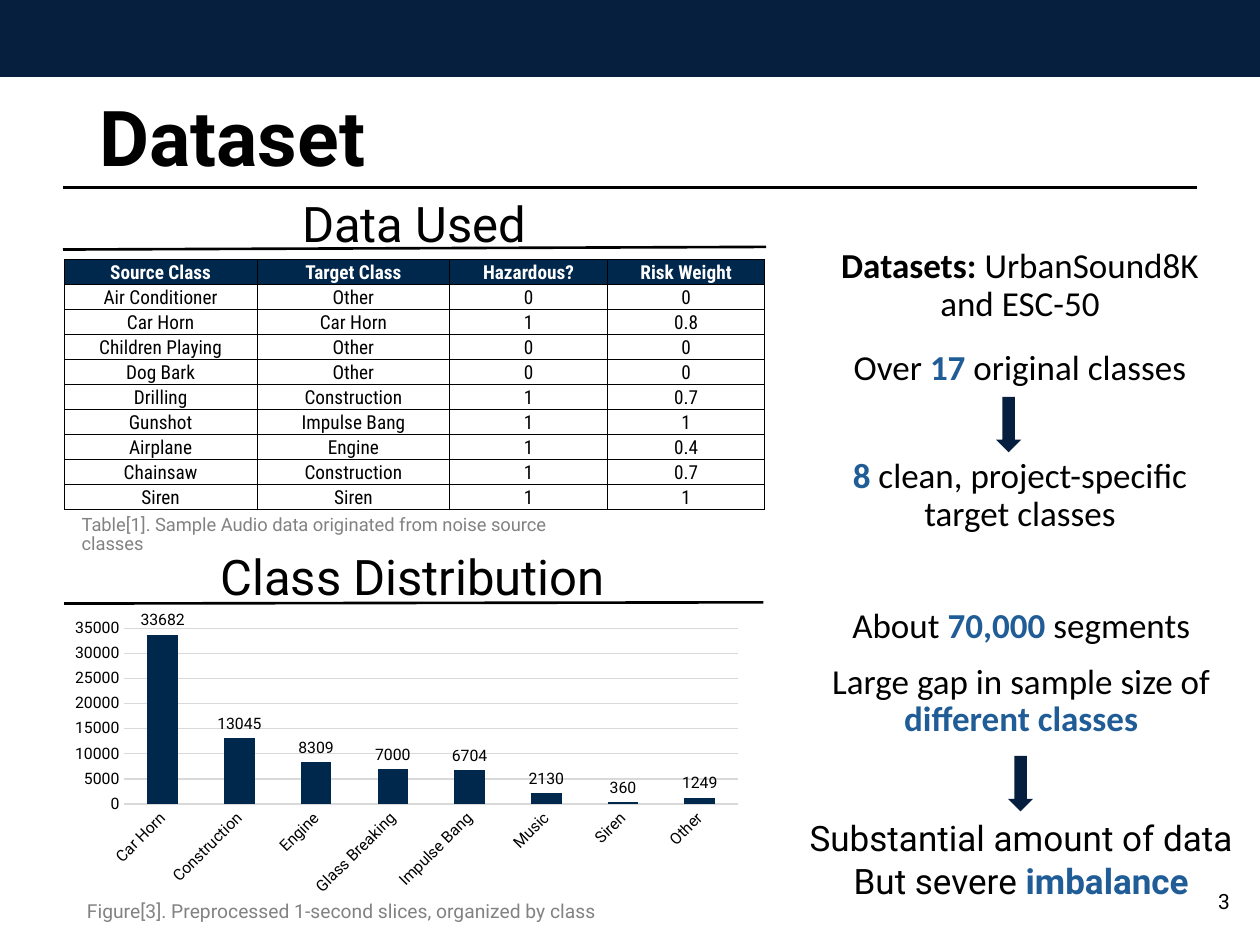
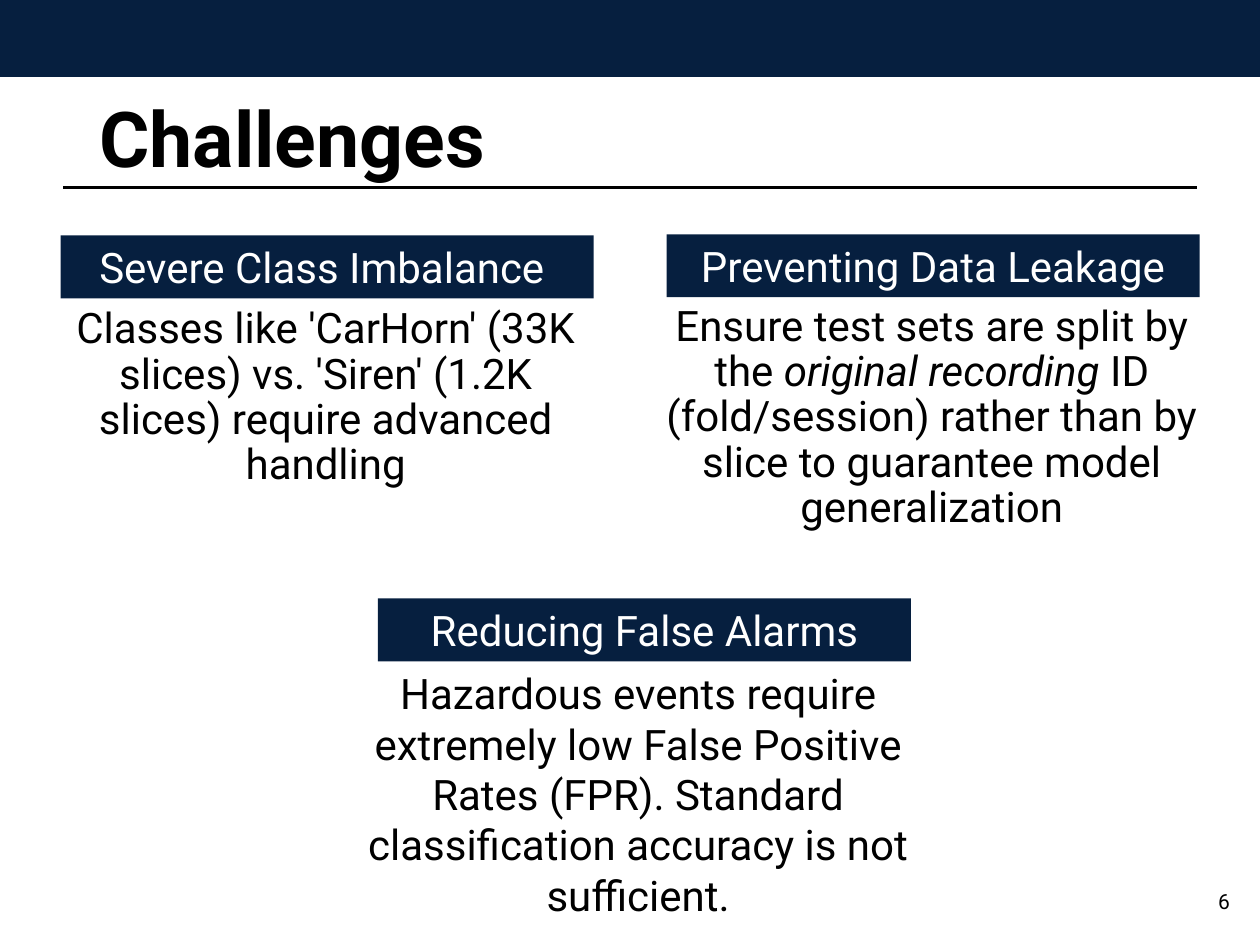
from lxml import etree
from pptx import Presentation
from pptx.chart.data import CategoryChartData
from pptx.dml.color import RGBColor
from pptx.enum.chart import XL_CHART_TYPE as ChartType, XL_LABEL_POSITION as LabelPosition
from pptx.enum.chart import XL_TICK_MARK as TickMark
from pptx.enum.shapes import MSO_CONNECTOR as Connector, MSO_SHAPE as Preset
from pptx.enum.text import MSO_ANCHOR as Anchor, PP_ALIGN as Align
from pptx.oxml.ns import qn
from pptx.util import Pt

# Shared look
NAVY, DEEP_BLUE, ACCENT = "061F3F", "00274C", "205C96"
BLACK, WHITE, GRAY, GRID = "000000", "FFFFFF", "828282", "D9D9D9"
FONT, NARROW, SIDE_FONT = "Roboto", "Roboto Condensed", "Calibri"
SLIDE_SIZE = (720, 540)
BAND = (0, 0, 720, 43.2)
TITLE_RULE = (36, 107.3, 684, 107.3)
PAGE_NUMBER = (547.9, 500.4, 162, 28.8)

# Run styles: (colour or None, bold, italic)
RUN_STYLES = {
    "plain": (None, False, False),
    "bold": (None, True, False),
    "italic": (None, False, True),
    "accent": (ACCENT, True, False),
}

# Dataset slide content
SECTIONS = [  # heading, box, line spacing, underline
    ("Data Used", (81.4, 107.3, 310.3, 32.4), 1, (36, 142.6, 437.8, 141.1)),
    ("Class Distribution", (80.6, 312.5, 310.3, 32.4), 0.9, (36.7, 344.9, 436.3, 344.2)),
]
CAPTIONS = [  # text, box, size, alignment
    ("Table[1]. Sample Audio data originated from noise source classes",
     (39.6, 290.9, 313.2, 32.4), 10.5, Align.LEFT),
    ("Figure[3]. Preprocessed 1-second slices, organized by class ",
     (34.6, 511.9, 324, 20.2), 11, Align.CENTER),
]
TABLE_BOX = (36.7, 148.3, 400.4, 142.6)
COLUMN_WIDTHS = (110.2, 110.2, 90, 90)
TABLE_ROWS = [
    ("Source Class", "Target Class", "Hazardous?", "Risk Weight"),
    ("Air Conditioner", "Other", "0", "0"),
    ("Car Horn", "Car Horn", "1", "0.8"),
    ("Children Playing", "Other", "0", "0"),
    ("Dog Bark", "Other", "0", "0"),
    ("Drilling", "Construction", "1", "0.7"),
    ("Gunshot", "Impulse Bang", "1", "1"),
    ("Airplane", "Engine", "1", "0.4"),
    ("Chainsaw", "Construction", "1", "0.7"),
    ("Siren", "Siren", "1", "1"),
]
CHART_BOX = (38.9, 347, 398.9, 168.5)
PLOT_LAYOUT = {"x": 0.01, "y": 0.04, "w": 0.95, "h": 0.94}
SLICES = {
    "Car Horn": 33682, "Construction": 13045, "Engine": 8309, "Glass Breaking": 7000,
    "Impulse Bang": 6704, "Music": 2130, "Siren": 360, "Other": 1249,
}
SIDE_NOTES = [  # box, anchor, font, space before, paragraphs
    ((467.3, 138.2, 231.1, 47.5), Anchor.TOP, SIDE_FONT, 10,
     [[("Datasets:", "bold"), " UrbanSound8K and ESC-50"]]),
    ((467.3, 196.6, 231.1, 31), Anchor.TOP, SIDE_FONT, 10,
     [["Over ", ("17", "accent"), " original classes"]]),
    ((467.3, 258.5, 231.1, 50.4), Anchor.MIDDLE, SIDE_FONT, 10,
     [[("8 ", "accent"), "clean, project-specific target classes"]]),
    ((468, 344.2, 231.1, 88.6), Anchor.TOP, SIDE_FONT, 10,
     [["About ", ("70,000", "accent"), " segments"],
      ["Large gap in sample size of ", ("different classes", "accent")]]),
    ((453.6, 468.7, 259.9, 47.5), Anchor.MIDDLE, FONT, 3,
     [["Substantial amount of data"], ["But severe ", ("imbalance", "accent")]]),
]
ARROW_SIZE = (14.4, 31.7)
ARROWS = [(569.2, 226.8), (576, 432)]

# Challenges slide content
HEADING_SIZE = (304.6, 36)
CHALLENGES = [  # heading, heading corner, body box, line spacing, body runs
    ("Severe Class Imbalance ", (34.6, 134.6), (25.9, 172.1, 320.4, 107.3), 0.9,
     ["Classes like 'CarHorn' (33K slices) vs. 'Siren' (1.2K slices) require advanced handling"]),
    ("Preventing Data Leakage", (380.9, 133.9), (372.2, 170.6, 320.4, 179.3), 0.9,
     ["Ensure test sets are split by the ", ("original recording", "italic"),
      " ID (fold/session) rather than by slice to guarantee model generalization"]),
    ("Reducing False Alarms", (216, 342), (181.4, 378, 366.5, 191.5), 1,
     ["Hazardous events require extremely low False Positive Rates (FPR). "
      "Standard classification accuracy is not sufficient."]),
]


def rgb(value):
    return RGBColor.from_string(value)


def points(values):
    return [Pt(value) for value in values]


def set_font(font, size, color=BLACK, name=FONT, bold=False, italic=False):
    font.size, font.name, font.bold, font.italic = Pt(size), name, bold, italic
    font.color.rgb = rgb(color)


def write(frame, paragraphs, size, color=BLACK, name=FONT, align=Align.CENTER,
          anchor=Anchor.TOP, spacing=0.9, before=0, bold=False):
    frame.word_wrap = True
    frame.vertical_anchor = anchor
    for index, runs in enumerate(paragraphs):
        paragraph = frame.add_paragraph() if index else frame.paragraphs[0]
        paragraph.alignment, paragraph.line_spacing = align, spacing
        if index:
            paragraph.space_before = Pt(before)
        for item in runs:
            text, style = (item, "plain") if isinstance(item, str) else item
            run_color, run_bold, italic = RUN_STYLES[style]
            run = paragraph.add_run()
            run.text = text
            set_font(run.font, size, run_color or color, name, bold or run_bold, italic)


def add_text(slide, box, paragraphs, size, **options):
    write(slide.shapes.add_textbox(*points(box)).text_frame, paragraphs, size, **options)


def add_block(slide, preset, box, outline=None):
    shape = slide.shapes.add_shape(preset, *points(box))
    shape.shadow.inherit = False
    shape.fill.solid()
    shape.fill.fore_color.rgb = rgb(NAVY)
    if outline:
        shape.line.color.rgb = rgb(NAVY)
        shape.line.width = Pt(outline)
    else:
        shape.line.fill.background()
    return shape


def add_rule(slide, ends):
    line = slide.shapes.add_connector(Connector.STRAIGHT, *points(ends))
    line.line.color.rgb = rgb(BLACK)
    line.line.width = Pt(1.5)
    etree.SubElement(line._element.spPr, qn("a:effectLst"))


def start_slide(presentation, title, number, title_top):
    slide = presentation.slides.add_slide(presentation.slide_layouts[6])
    add_block(slide, Preset.RECTANGLE, BAND, outline=1.5)
    add_text(slide, (49.7, title_top, 620.6, 104.4), [[title]], 44,
             align=Align.LEFT, anchor=Anchor.MIDDLE, bold=True)
    add_rule(slide, TITLE_RULE)
    add_text(slide, PAGE_NUMBER, [[number]], 12, align=Align.RIGHT,
             anchor=Anchor.MIDDLE, spacing=1)
    return slide


def add_borders(cell):
    properties = cell._tc.get_or_add_tcPr()
    for index, side in enumerate(("lnL", "lnR", "lnT", "lnB")):
        border = etree.Element(qn(f"a:{side}"), w=str(Pt(0.5)))
        fill = etree.SubElement(border, qn("a:solidFill"))
        etree.SubElement(fill, qn("a:srgbClr"), val=BLACK)
        properties.insert(index, border)


def add_class_table(slide):
    table = slide.shapes.add_table(len(TABLE_ROWS), len(COLUMN_WIDTHS),
                                   *points(TABLE_BOX)).table
    for column, width in zip(table.columns, COLUMN_WIDTHS):
        column.width = Pt(width)
    for row_index, values in enumerate(TABLE_ROWS):
        header = row_index == 0
        table.rows[row_index].height = Pt(TABLE_BOX[3] / len(TABLE_ROWS))
        for column_index, value in enumerate(values):
            cell = table.cell(row_index, column_index)
            cell.margin_left = cell.margin_right = cell.margin_top = Pt(0.7)
            cell.margin_bottom = 0
            cell.vertical_anchor = Anchor.BOTTOM
            if header:
                cell.fill.solid()
                cell.fill.fore_color.rgb = rgb(DEEP_BLUE)
            else:
                cell.fill.background()
            write(cell.text_frame, [[value]], 11, WHITE if header else BLACK, NARROW,
                  anchor=None, spacing=1, bold=header)
            add_borders(cell)


def set_plot_layout(chart):
    plot_area = chart._chartSpace.chart.plotArea
    for old in plot_area.findall(qn("c:layout")):
        plot_area.remove(old)
    layout = etree.Element(qn("c:layout"))
    manual = etree.SubElement(layout, qn("c:manualLayout"))
    for mode in ("xMode", "yMode"):
        etree.SubElement(manual, qn(f"c:{mode}"), val="edge")
    for side, share in PLOT_LAYOUT.items():
        etree.SubElement(manual, qn(f"c:{side}"), val=str(share))
    plot_area.insert(0, layout)


def add_slice_chart(slide):
    data = CategoryChartData()
    data.categories = list(SLICES)
    data.add_series("Series 1", list(SLICES.values()))
    chart = slide.shapes.add_chart(ChartType.COLUMN_CLUSTERED, *points(CHART_BOX), data).chart
    chart.has_title = chart.has_legend = False
    set_font(chart.font, 10)
    set_plot_layout(chart)

    # Columns and their labels
    plot = chart.plots[0]
    plot.vary_by_categories = False
    plot.gap_width, plot.overlap = 150, 100
    fill = plot.series[0].format.fill
    fill.solid()
    fill.fore_color.rgb = rgb(DEEP_BLUE)
    plot.has_data_labels = True
    labels = plot.data_labels
    labels.show_value = True
    labels.position = LabelPosition.OUTSIDE_END
    set_font(labels.font, 9)

    # Axes
    categories, values = chart.category_axis, chart.value_axis
    for axis in (categories, values):
        axis.major_tick_mark = axis.minor_tick_mark = TickMark.NONE
        set_font(axis.tick_labels.font, 9)
    values.minimum_scale, values.maximum_scale, values.major_unit = 0, 35000, 5000
    values.format.line.fill.background()
    for line in (categories.format.line, values.major_gridlines.format.line):
        line.color.rgb = rgb(GRID)
        line.width = Pt(0.75)
    categories._element.find(qn("c:txPr")).find(qn("a:bodyPr")).set("rot", "-2700000")


def build_dataset(presentation):
    slide = start_slide(presentation, "Dataset", "3", 28.8)
    for heading, box, spacing, underline in SECTIONS:
        add_text(slide, box, [[heading]], 28, spacing=spacing)
        add_rule(slide, underline)
    for caption, box, size, align in CAPTIONS:
        add_text(slide, box, [[caption]], size, color=GRAY, align=align)
    add_slice_chart(slide)
    add_class_table(slide)
    for box, anchor, name, before, paragraphs in SIDE_NOTES:
        add_text(slide, box, paragraphs, 20, name=name, anchor=anchor, before=before)
    for corner in ARROWS:
        add_block(slide, Preset.DOWN_ARROW, corner + ARROW_SIZE)


def build_challenges(presentation):
    slide = start_slide(presentation, "Challenges", "6", 29.5)
    for heading, corner, body_box, spacing, body in CHALLENGES:
        block = add_block(slide, Preset.RECTANGLE, corner + HEADING_SIZE)
        write(block.text_frame, [[heading]], 24, WHITE, spacing=1)
        add_text(slide, body_box, [body], 24, spacing=spacing)


def main():
    presentation = Presentation()
    presentation.slide_width, presentation.slide_height = points(SLIDE_SIZE)
    build_dataset(presentation)
    build_challenges(presentation)
    presentation.save("out.pptx")


if __name__ == "__main__":
    main()
